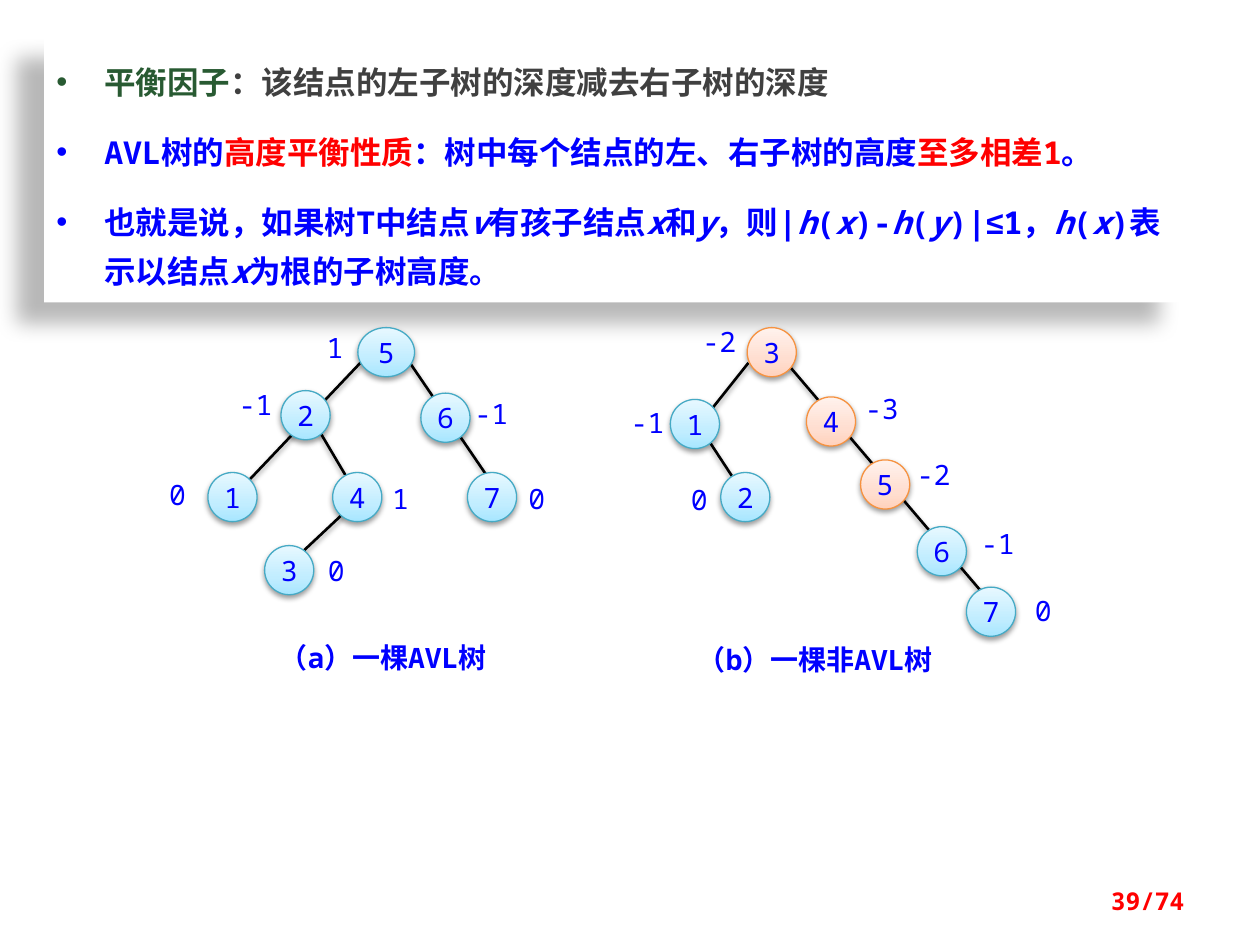
from dataclasses import dataclass

from lxml.etree import SubElement
from pptx import Presentation
from pptx.dml.color import RGBColor
from pptx.enum.shapes import MSO_CONNECTOR, MSO_SHAPE
from pptx.enum.text import MSO_ANCHOR, PP_ALIGN
from pptx.oxml.ns import qn
from pptx.util import Inches, Pt

COLORS = {
    "white": "FFFFFF", "black": "000000", "blue": "0000FF", "red": "FF0000",
    "green": "285A32", "gray": "404040",
    "balanced_line": "46AAC5", "unbalanced_line": "F69240",
}
GRADIENTS = {
    "balanced": ((0, "A7E6FF"), (35, "C1EDFF"), (100, "E7F8FF")),
    "unbalanced": ((0, "FFD2BD"), (35, "FFDED0"), (100, "FFF2ED")),
}
MONO, CJK, SANS = "Noto Sans Mono", "Noto Sans CJK SC", "Arial"
NODE_SIZE, FACTOR_SIZE = 0.39, 0.3


@dataclass
class Node:
    key: str
    x: float
    y: float
    factor: str
    factor_x: float
    factor_y: float
    state: str = "balanced"
    width: float = NODE_SIZE


@dataclass
class Edge:
    x1: float
    y1: float
    x2: float
    y2: float


@dataclass
class Tree:
    nodes: list[Node]
    edges: list[Edge]
    caption: str
    caption_x: float
    caption_y: float


@dataclass
class Phrase:
    """Text whose italic parts stand between asterisks."""
    text: str
    color: str = "blue"
    font: str = MONO


AVL_TREE = Tree(
    [
        Node("5", 2.84, 2.6, "1", 2.51, 2.62, width=0.45),
        Node("2", 2.23, 3.1, "-1", 1.88, 3.08),
        Node("6", 3.34, 3.12, "-1", 3.75, 3.15),
        Node("1", 1.65, 3.75, "0", 1.26, 3.79),
        Node("4", 2.64, 3.75, "1", 3.03, 3.82),
        Node("3", 2.1, 4.33, "0", 2.52, 4.39),
        Node("7", 3.71, 3.75, "0", 4.11, 3.82),
    ],
    [
        Edge(2.72, 4.08, 2.39, 4.39),
        Edge(2.54, 3.43, 2.8, 3.87),
        Edge(2.86, 2.88, 1.93, 3.86),
        Edge(3.26, 2.89, 3.86, 3.77),
    ],
    "（a）一棵AVL树", 1.92, 5.08,
)
NON_AVL_TREE = Tree(
    [
        Node("3", 5.93, 2.6, "-2", 5.56, 2.58, "unbalanced"),
        Node("1", 5.32, 3.17, "-1", 4.99, 3.22),
        Node("4", 6.4, 3.15, "-3", 6.85, 3.11, "unbalanced"),
        Node("2", 5.72, 3.75, "0", 5.4, 3.83),
        Node("5", 6.83, 3.65, "-2", 7.26, 3.63, "unbalanced"),
        Node("6", 7.28, 4.18, "-1", 7.77, 4.18),
        Node("7", 7.67, 4.66, "0", 8.13, 4.71),
    ],
    [
        Edge(5.64, 3.52, 5.83, 3.81),
        Edge(5.94, 2.88, 5.55, 3.37),
        Edge(6.26, 2.9, 7.98, 4.92),
    ],
    "（b）一棵非AVL树", 5.35, 5.1,
)
DEFINITIONS = [
    [Phrase("平衡因子", "green", CJK),
     Phrase("：该结点的左子树的深度减去右子树的深度", "gray", CJK)],
    [Phrase("AVL树的"), Phrase("高度平衡性质", "red"),
     Phrase("：树中每个结点的左、右子树的高度"),
     Phrase("至多相差1", "red"), Phrase("。")],
    [Phrase("也就是说，如果树T中结点*v*有孩子结点*x*和*y*，则|*h*(*x*)-*h*(*y*)|"),
     Phrase("≤", font=SANS),
     Phrase("1，*h*(*x*)表示以结点*x*为根的子树高度。")],
]


def rgb(name: str) -> RGBColor:
    return RGBColor.from_string(COLORS[name])


def write(paragraph, text: str, *, size: float = 16, color: str = "blue",
          font: str = MONO, bold: bool = False, align=None) -> None:
    if align is not None:
        paragraph.alignment = align
    for index, part in enumerate(text.split("*")):
        if not part:
            continue
        run = paragraph.add_run()
        run.text = part
        run.font.name, run.font.size = font, Pt(size)
        run.font.bold, run.font.italic = bold, index % 2 == 1
        run.font.color.rgb = rgb(color)
        SubElement(run.font._element, qn("a:ea"), typeface=CJK)


def set_insets(frame, horizontal: float = 0, vertical: float = 0) -> None:
    frame.margin_left = frame.margin_right = Inches(horizontal)
    frame.margin_top = frame.margin_bottom = Inches(vertical)


def add_shadow(shape, *, alpha: int = 38, blur: float = 3.1,
               distance: float = 1.6, angle: int = 90) -> None:
    effects = SubElement(shape._element.spPr, qn("a:effectLst"))
    outer = SubElement(effects, qn("a:outerShdw"), blurRad=str(Pt(blur)),
                       dist=str(Pt(distance)), dir=str(angle * 60000),
                       rotWithShape="0")
    tint = SubElement(outer, qn("a:srgbClr"), val=COLORS["black"])
    SubElement(tint, qn("a:alpha"), val=str(alpha * 1000))


def add_label(slide, text: str, x: float, y: float, width: float,
              height: float, **text_format) -> None:
    frame = slide.shapes.add_textbox(
        Inches(x), Inches(y), Inches(width), Inches(height)).text_frame
    frame.word_wrap = True
    set_insets(frame)
    write(frame.paragraphs[0], text, align=PP_ALIGN.CENTER, **text_format)


def draw_edge(slide, edge: Edge) -> None:
    branch = slide.shapes.add_connector(
        MSO_CONNECTOR.STRAIGHT, Inches(edge.x1), Inches(edge.y1),
        Inches(edge.x2), Inches(edge.y2))
    branch.line.color.rgb = rgb("black")
    branch.line.width = Pt(1.5)
    add_shadow(branch)


def draw_node(slide, node: Node) -> None:
    circle = slide.shapes.add_shape(
        MSO_SHAPE.OVAL, Inches(node.x), Inches(node.y),
        Inches(node.width), Inches(NODE_SIZE))
    circle.fill.gradient()
    circle.fill.gradient_angle = 90
    stops = circle._element.spPr.find(".//" + qn("a:gsLst"))
    for stop in list(stops):
        stops.remove(stop)
    for position, color in GRADIENTS[node.state]:
        stop = SubElement(stops, qn("a:gs"), pos=str(position * 1000))
        SubElement(stop, qn("a:srgbClr"), val=color)
    circle.line.color.rgb = rgb(node.state + "_line")
    circle.line.width = Pt(0.75)
    add_shadow(circle)
    frame = circle.text_frame
    set_insets(frame)
    frame.vertical_anchor = MSO_ANCHOR.MIDDLE
    write(frame.paragraphs[0], node.key, align=PP_ALIGN.CENTER)
    add_label(slide, node.factor, node.factor_x, node.factor_y,
              FACTOR_SIZE, FACTOR_SIZE)


def draw_tree(slide, tree: Tree) -> None:
    for edge in tree.edges:
        draw_edge(slide, edge)
    for node in tree.nodes:
        draw_node(slide, node)
    add_label(slide, tree.caption, tree.caption_x, tree.caption_y,
              2.24, 0.29, bold=True)


def draw_definitions(slide) -> None:
    panel = slide.shapes.add_shape(
        MSO_SHAPE.RECTANGLE, Inches(0.35), Inches(0.29), Inches(9.06), Inches(2.11))
    panel.fill.solid()
    panel.fill.fore_color.rgb = rgb("white")
    panel.line.fill.background()
    add_shadow(panel, alpha=28, blur=11.8, distance=19.7, angle=141)
    frame = panel.text_frame
    frame.word_wrap = True
    frame.vertical_anchor = MSO_ANCHOR.TOP
    set_insets(frame, 0.1, 0.12)
    for index, phrases in enumerate(DEFINITIONS):
        paragraph = frame.add_paragraph() if index else frame.paragraphs[0]
        paragraph.line_spacing = Pt(28)
        paragraph.space_before = Pt(12 if index else 0)
        paragraph.alignment = PP_ALIGN.LEFT
        properties = paragraph._p.get_or_add_pPr()
        properties.set("marL", str(Inches(0.38)))
        properties.set("indent", str(-Inches(0.38)))
        SubElement(properties, qn("a:buFont"), typeface=SANS)
        SubElement(properties, qn("a:buChar"), char="•")
        for phrase in phrases:
            write(paragraph, phrase.text, size=18, color=phrase.color,
                  font=phrase.font, bold=True)


def main() -> None:
    deck = Presentation()
    deck.slide_width, deck.slide_height = Inches(10), Inches(7.5)
    slide = deck.slides.add_slide(deck.slide_layouts[6])

    # Definitions, then the two example trees
    draw_definitions(slide)
    for tree in (AVL_TREE, NON_AVL_TREE):
        draw_tree(slide, tree)

    # Page number
    page = slide.shapes.add_textbox(
        Inches(7.17), Inches(6.95), Inches(2.33), Inches(0.4)).text_frame
    page.word_wrap = True
    page.vertical_anchor = MSO_ANCHOR.MIDDLE
    write(page.paragraphs[0], "39/74", size=14, color="red", bold=True,
          align=PP_ALIGN.RIGHT)
    deck.save("out.pptx")


if __name__ == "__main__":
    main()
